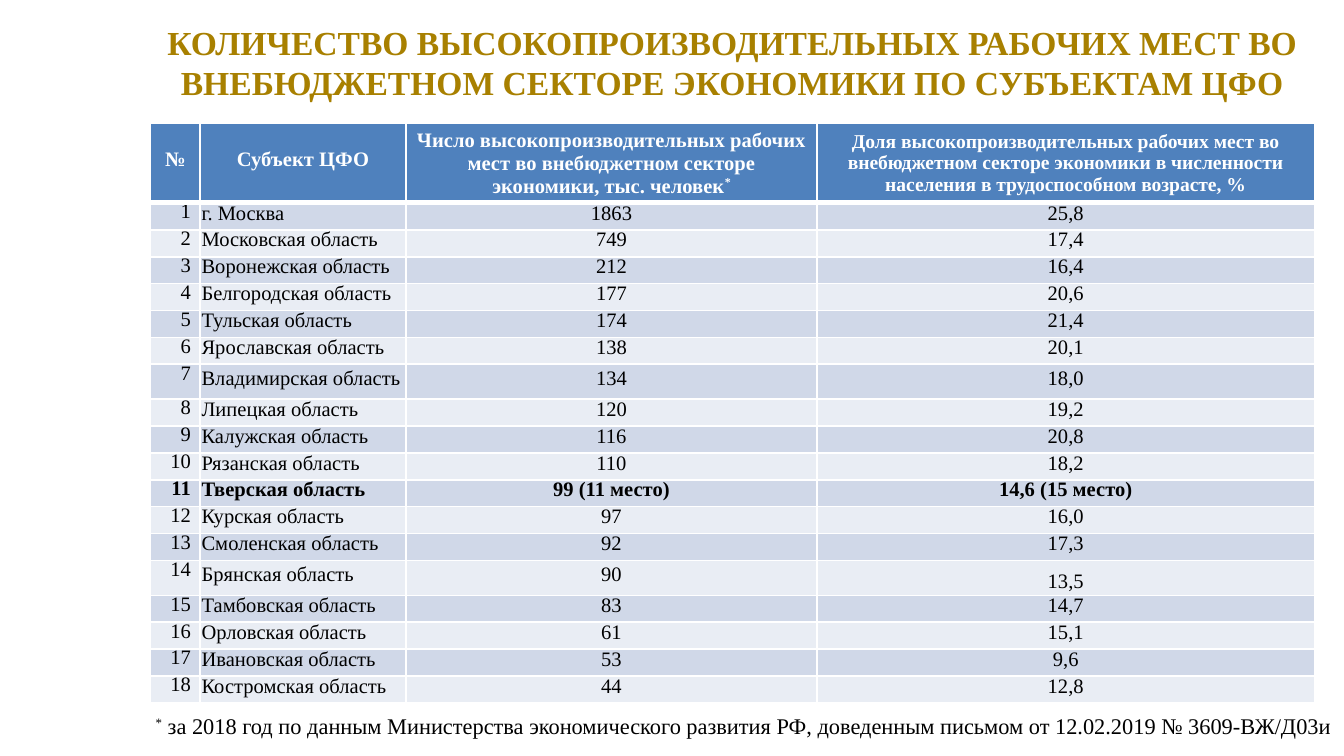
from pptx import Presentation
from pptx.dml.color import RGBColor
from pptx.enum.text import MSO_ANCHOR, MSO_AUTO_SIZE, PP_ALIGN
from pptx.oxml.ns import qn
from pptx.util import Inches, Pt
from lxml import etree

LEFT, CENTER, RIGHT = PP_ALIGN.LEFT, PP_ALIGN.CENTER, PP_ALIGN.RIGHT
TOP, MIDDLE = MSO_ANCHOR.TOP, MSO_ANCHOR.MIDDLE
FIXED, GROW = MSO_AUTO_SIZE.NONE, MSO_AUTO_SIZE.SHAPE_TO_FIT_TEXT

TITLE = ("КОЛИЧЕСТВО ВЫСОКОПРОИЗВОДИТЕЛЬНЫХ РАБОЧИХ МЕСТ ВО "
         "ВНЕБЮДЖЕТНОМ СЕКТОРЕ ЭКОНОМИКИ ПО СУБЪЕКТАМ ЦФО")
HEADERS = [
    "№",
    "Субъект ЦФО",
    "Число высокопроизводительных рабочих мест во внебюджетном секторе "
    "экономики, тыс. человек",
    "Доля высокопроизводительных рабочих мест во внебюджетном секторе "
    "экономики в численности населения в трудоспособном возрасте, %",
]
REGIONS = [
    ("г. Москва", "1863", "25,8"),
    ("Московская область", "749", "17,4"),
    ("Воронежская область", "212", "16,4"),
    ("Белгородская область", "177", "20,6"),
    ("Тульская область", "174", "21,4"),
    ("Ярославская область", "138", "20,1"),
    ("Владимирская область", "134", "18,0"),
    ("Липецкая область", "120", "19,2"),
    ("Калужская область", "116", "20,8"),
    ("Рязанская область", "110", "18,2"),
    ("Тверская область", "99 (11 место)", "14,6 (15 место)"),
    ("Курская область", "97", "16,0"),
    ("Смоленская область", "92", "17,3"),
    ("Брянская область", "90", "13,5"),
    ("Тамбовская область", "83", "14,7"),
    ("Орловская область", "61", "15,1"),
    ("Ивановская область", "53", "9,6"),
    ("Костромская область", "44", "12,8"),
]
FOOTNOTE = (" за 2018 год по данным Министерства экономического развития РФ, "
            "доведенным письмом от 12.02.2019 № 3609-ВЖ/Д03и")
COL_WIDTHS = [0.37, 1.53, 3.06, 3.7]
HEADER_HEIGHT, ROW_HEIGHT, TALL_HEIGHT = 0.53, 0.2, 0.26
TALL_ROWS = (7, 14)
HIGHLIGHT_ROW = 11
LOWERED_CELL = (14, 3)
WIDE_INSETS = (0.07, 0.04, 0.07, 0.04)
TIGHT_INSETS = (0.01, 0.01, 0.01, 0)
LOWERED_INSETS = (0.01, 0.12, 0.01, 0)


def rgb(value):
    return RGBColor.from_string(value)


def add_text(p, text, size=11, color="000000", bold=False, baseline=0):
    r = p.add_run()
    r.text = text
    r.font.name = "Times New Roman"
    r.font.size = Pt(size)
    r.font.bold = bold
    r.font.color.rgb = rgb(color)
    if baseline:
        r._r.get_or_add_rPr().set("baseline", str(baseline * 1000))


def set_insets(target, insets):
    left, top, right, bottom = map(Inches, insets)
    target.margin_left, target.margin_top = left, top
    target.margin_right, target.margin_bottom = right, bottom


class SlideBuilder:
    gold, white, header = "A88000", "FFFFFF", "4F81BD"
    bands = ("E9EDF4", "D0D8E8")

    def __init__(self, prs):
        self.s = prs.slides.add_slide(prs.slide_layouts[5])

    def title(self, text, left, top, width, height):
        sp = self.s.shapes.title
        sp.left, sp.top = Inches(left), Inches(top)
        sp.width, sp.height = Inches(width), Inches(height)
        tf = sp.text_frame
        tf.word_wrap = True
        tf.auto_size = FIXED
        tf.vertical_anchor = TOP
        set_insets(tf, WIDE_INSETS)
        p = tf.paragraphs[0]
        p.alignment = CENTER
        add_text(p, text, size=18, color=self.gold, bold=True)

    def borders(self, cell, top, bottom):
        tc_pr = cell._tc.get_or_add_tcPr()
        for side, width in zip("LRTB", (1, 1, top, bottom)):
            ln = etree.SubElement(tc_pr, qn(f"a:ln{side}"), w=str(Pt(width)))
            fill = etree.SubElement(ln, qn("a:solidFill"))
            etree.SubElement(fill, qn("a:srgbClr"), val=self.white)

    def cell(self, cell, text, fill, insets, align=CENTER, anchor=MIDDLE,
             spacing=Pt(8), top=1, bottom=1, **font):
        self.borders(cell, top, bottom)
        cell.fill.solid()
        cell.fill.fore_color.rgb = rgb(fill)
        cell.vertical_anchor = anchor
        set_insets(cell, insets)
        p = cell.text_frame.paragraphs[0]
        p.alignment = align
        if spacing:
            p.line_spacing = spacing
        add_text(p, text, **font)
        return p

    def header_row(self, table):
        for col, text in enumerate(HEADERS):
            p = self.cell(table.cell(0, col), text, self.header, WIDE_INSETS,
                          spacing=Pt(8) if col < 2 else None, bottom=3,
                          size=10.5 if col == 3 else 11,
                          color=self.white, bold=True)
            if col == 2:
                add_text(p, "*", color=self.white, bold=True, baseline=30)

    def region_row(self, table, row, region):
        style = {"fill": self.bands[row % 2], "bold": row == HIGHLIGHT_ROW,
                 "top": 3 if row == 1 else 1}
        self.cell(table.cell(row, 0), str(row), insets=WIDE_INSETS,
                  align=RIGHT, anchor=TOP, **style)
        for col, text in enumerate(region, 1):
            lowered = (row, col) == LOWERED_CELL
            self.cell(table.cell(row, col), text,
                      insets=LOWERED_INSETS if lowered else TIGHT_INSETS,
                      align=LEFT if col == 1 else CENTER, **style)

    def table(self, left, top):
        heights = [HEADER_HEIGHT] + [
            TALL_HEIGHT if row in TALL_ROWS else ROW_HEIGHT
            for row in range(1, len(REGIONS) + 1)]
        table = self.s.shapes.add_table(
            len(heights), len(COL_WIDTHS), Inches(left), Inches(top),
            Inches(sum(COL_WIDTHS)), Inches(sum(heights))).table
        for column, width in zip(table.columns, COL_WIDTHS):
            column.width = Inches(width)
        for row, height in zip(table.rows, heights):
            row.height = Inches(height)
        self.header_row(table)
        for row, region in enumerate(REGIONS, 1):
            self.region_row(table, row, region)

    def footnote(self, text, left, top, width, height):
        sp = self.s.shapes.add_textbox(Inches(left), Inches(top),
                                       Inches(width), Inches(height))
        tf = sp.text_frame
        tf.word_wrap = False
        tf.auto_size = GROW
        p = tf.paragraphs[0]
        add_text(p, "*", size=12, baseline=30)
        add_text(p, text, size=12)


def main():
    prs = Presentation()
    prs.slide_width = Inches(10)
    prs.slide_height = prs.slide_width * 9 // 16
    builder = SlideBuilder(prs)
    builder.title(TITLE, 0.9, 0.12, 9.1, 0.8)
    builder.table(1.12, 0.92)
    builder.footnote(FOOTNOTE, 1.06, 5.25, 9.07, 0.3)
    prs.save("out.pptx")


if __name__ == "__main__":
    main()
